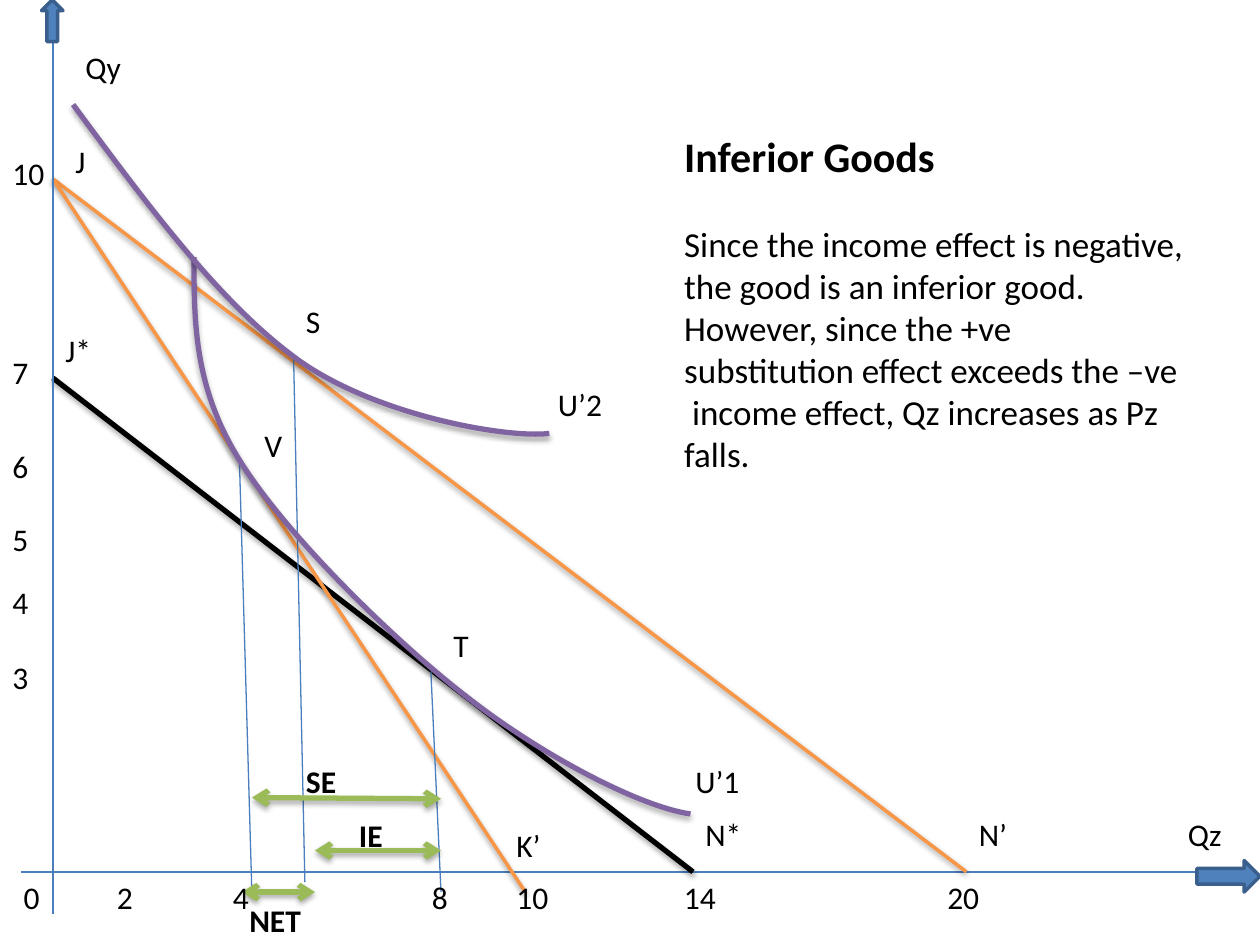
"""Build a slide showing income and substitution effects for an inferior good."""
import pptx
import pptx.dml.color
import pptx.enum.shapes
import pptx.enum.text
import pptx.oxml
import pptx.oxml.ns
import pptx.util
from lxml import etree
from pptx.util import Inches

COLORS = {"axis": "4B7EBC", "budget": "F79646", "compensated": "000000", "curve": "8064A2",
          "effect": "9BBB59", "arrow": "4F81BD", "arrow_edge": "3A5F8C", "text": "000000"}
RGB = {name: pptx.dml.color.RGBColor.from_string(value) for name, value in COLORS.items()}
WIDTHS = {"axis": 0.75, "budget": 2, "compensated": 3, "curve": 3, "effect": 3}
SHADOWS = {"budget": (20000, 38000), "compensated": (23000, 35000),
           "curve": (23000, 35000), "effect": (23000, 35000)}
qn = pptx.oxml.ns.qn


def style_line(shape, kind):
    shape.line.color.rgb = RGB[kind]
    shape.line.width = pptx.util.Pt(WIDTHS[kind])
    effects = etree.SubElement(shape._element.spPr, qn("a:effectLst"))
    if kind in SHADOWS:
        distance, alpha = SHADOWS[kind]
        shadow = etree.SubElement(effects, qn("a:outerShdw"), blurRad="40000", dist=str(distance),
                                  dir="5400000", rotWithShape="0")
        color = etree.SubElement(shadow, qn("a:srgbClr"), val="000000")
        etree.SubElement(color, qn("a:alpha"), val=str(alpha))
    if kind == "effect":
        for end in ("a:headEnd", "a:tailEnd"):
            etree.SubElement(shape.line._get_or_add_ln(), qn(end), type="arrow")


def add_span(para, text, size, bold=False):
    span = para.add_run()
    span.text = text
    formats = {"name": "Calibri", "size": pptx.util.Pt(size), "bold": bold}
    for name, value in formats.items():
        setattr(span.font, name, value)
    span.font.color.rgb = RGB["text"]


deck = pptx.Presentation()
deck.slide_width, deck.slide_height = Inches(10), Inches(7.5)
page = deck.slides.add_slide(deck.slide_layouts[5])

title = page.shapes.title
title_place = {"left": 5.33, "top": 0.3, "width": 4.17, "height": 4.2}
for name, value in title_place.items():
    setattr(title, name, Inches(value))
title_frame = {"word_wrap": True, "vertical_anchor": pptx.enum.text.MSO_ANCHOR.MIDDLE,
               "auto_size": pptx.enum.text.MSO_AUTO_SIZE.NONE}
for name, value in title_frame.items():
    setattr(title.text_frame, name, value)
para = title.text_frame.paragraphs[0]
para.alignment = pptx.enum.text.PP_ALIGN.LEFT
add_span(para, "Inferior Goods", 24, True)
for size in (24, 20):
    para.add_line_break()
    etree.SubElement(para._p[-1], qn("a:rPr"), sz=str(size * 100))
add_span(para, "Since the income effect is negative, the good is an inferior good. "
         "However, since the +ve substitution effect exceeds the –ve  income effect, "
         "Qz increases as Pz falls.", 20)

lines = [
    ("axis", 0.17, 6.92, 9.75, 6.92),
    ("axis", 0.83, 6.92, 1, 6.92),
    ("budget", 0.42, 1.42, 7.67, 6.92),
    ("compensated", 0.42, 3, 5.5, 6.92),
    ("budget", 0.42, 1.42, 4.17, 7.08),
    ("axis", 1.9, 3.65, 2, 7.12),
    ("axis", 3.42, 5.33, 3.5, 7.08),
    ("axis", 2.33, 2.83, 2.42, 7),
    ("effect", 2, 6.33, 3.5, 6.34),
    ("effect", 2.5, 6.75, 3.5, 6.75),
    ("effect", 1.92, 7.08, 2.5, 7.08),
    ("axis", 0.42, 0.17, 0.42, 7.25),
]
for kind, *ends in lines:
    line = page.shapes.add_connector(pptx.enum.shapes.MSO_CONNECTOR.STRAIGHT, *map(Inches, ends))
    style_line(line, kind)

indifference_curves = [
    [(1.54, 2.04), (1.54, 2.56), (1.54, 3.07), (1.9, 3.65), (2.26, 4.23), (3.09, 5.05),
     (3.69, 5.52), (4.29, 5.99), (5.07, 6.4), (5.48, 6.46)],
    [(0.58, 0.83), (1.18, 1.64), (1.77, 2.44), (2.4, 2.88), (3.03, 3.31), (4.04, 3.48),
     (4.36, 3.44)],
]
for points in indifference_curves:
    start_point, *controls = [(Inches(x), Inches(y)) for x, y in points]
    builder = page.shapes.build_freeform(*start_point)
    builder.add_line_segments(controls, close=False)
    curve = builder.convert_to_shape()
    curve.fill.background()
    style_line(curve, "curve")
    outline = curve._element.find(".//" + qn("a:path"))
    segments = outline.findall(qn("a:lnTo"))
    for first in range(0, len(segments), 3):
        bezier = etree.SubElement(outline, qn("a:cubicBezTo"))
        for segment in segments[first:first + 3]:
            bezier.append(segment[0])
            outline.remove(segment)

axis_arrows = [
    (pptx.enum.shapes.MSO_SHAPE.RIGHT_ARROW, 9.5, 6.83, 0.5, 0.25),
    (pptx.enum.shapes.MSO_SHAPE.UP_ARROW, 0.33, 0, 0.17, 0.33),
]
for preset, *place in axis_arrows:
    arrow = page.shapes.add_shape(preset, *map(Inches, place))
    arrow.shadow.inherit = False
    arrow.fill.solid()
    arrow.fill.fore_color.rgb = RGB["arrow"]
    arrow.line.color.rgb = RGB["arrow_edge"]
    arrow.line.width = pptx.util.Pt(2)

y_ticks = {"10": 1.17, "7": 2.75, "6": 3.5, "5": 4.08, "4": 4.58, "3": 5.17}
x_ticks = {"0": 0.09, "2": 0.83, "4": 1.75, "8": 3.33, "10": 4, "14": 5.33, "20": 7.42}
labels = [(text, 0, top, 0.33 if len(text) == 1 else 0.46) for text, top in y_ticks.items()]
labels += [(text, left, 6.92, 0.33 if len(text) == 1 else 0.46) for text, left in x_ticks.items()]
labels += [
    ("Qy", 0.58, 0.33, 0.49), ("Qz", 9.33, 6.42, 0.47),
    ("J", 0.5, 1.08, 0.28), ("J*", 0.42, 2.58, 0.41),
    ("N*", 5.5, 6.42, 0.49), ("N’", 7.67, 6.42, 0.43), ("K’", 4, 6.51, 0.5),
    ("V", 2, 3.33, 0.35), ("T", 3.5, 4.92, 0.32), ("S", 2.33, 2.35, 0.32),
    ("U’2", 4.33, 3.01, 0.55), ("U’1", 5.42, 6, 0.55),
    ("SE", 2.33, 6, 0.44), ("IE", 2.75, 6.43, 0.39), ("NET", 1.88, 7.1, 0.62),
]
for text, left, top, width in labels:
    box = page.shapes.add_textbox(Inches(left), Inches(top), Inches(width), Inches(0.4))
    box.text_frame.word_wrap = False
    box.text_frame.auto_size = pptx.enum.text.MSO_AUTO_SIZE.SHAPE_TO_FIT_TEXT
    add_span(box.text_frame.paragraphs[0], text, 18, text in ("SE", "IE", "NET"))

deck.save("out.pptx")
